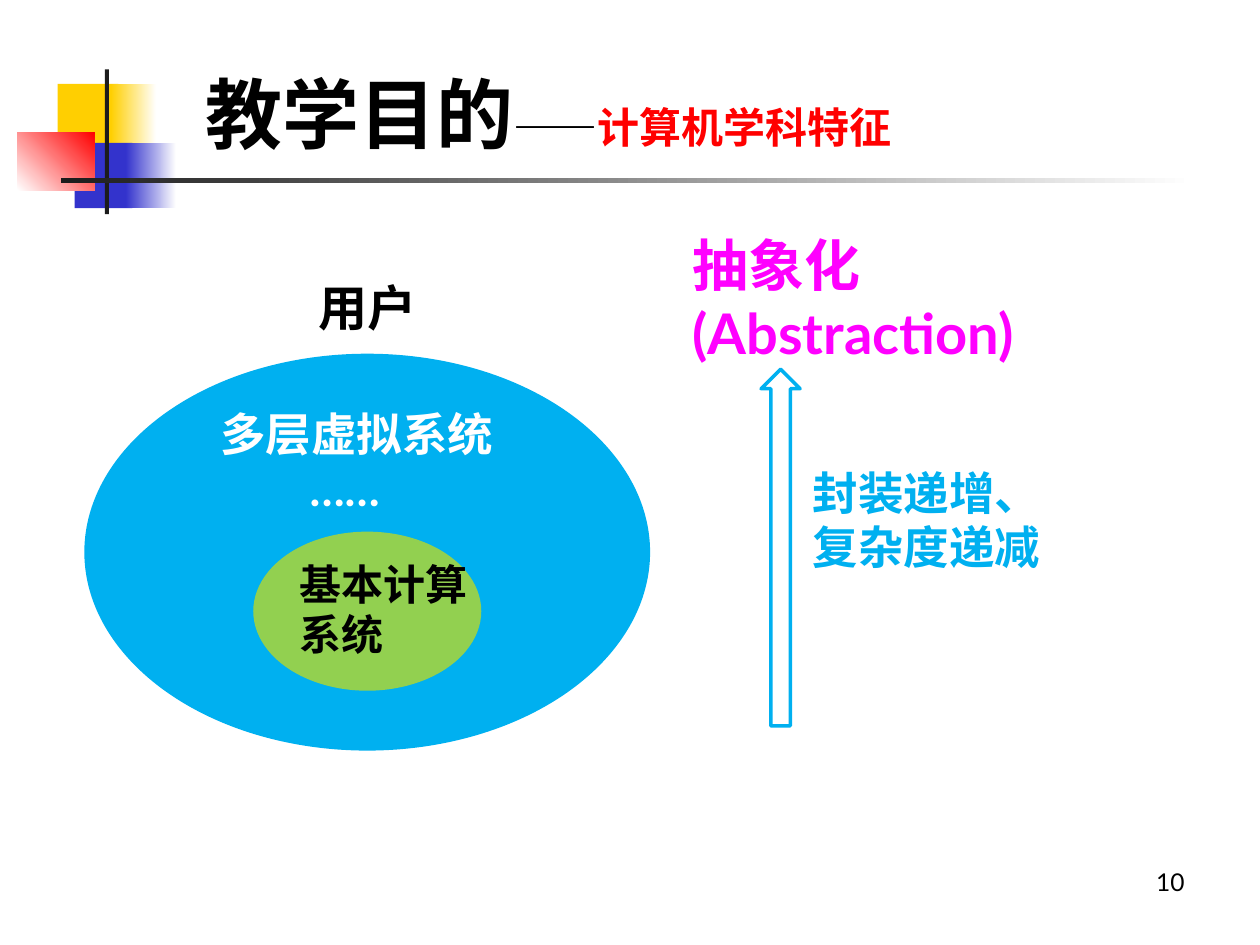
from pptx import Presentation
from pptx.dml.color import RGBColor
from pptx.enum.shapes import MSO_SHAPE
from pptx.enum.text import MSO_ANCHOR, MSO_AUTO_SIZE, PP_ALIGN
from pptx.util import Pt

BLACK, WHITE, RED = "000000", "FFFFFF", "FF0000"
YELLOW, NAVY, CHARCOAL = "FFCF01", "3333CC", "1C1C1C"
SKY, GREEN, MAGENTA = "00B0F0", "92D050", "FF00FF"


def color(hex_code):
    return RGBColor.from_string(hex_code)


def set_all(target, values):
    for attribute, value in values.items():
        setattr(target, attribute, value)


class SlideBuilder:
    FONT = "Lato"
    FRAME = dict(margin_left=Pt(7.2), margin_right=Pt(7.2),
                 margin_top=Pt(3.6), margin_bottom=Pt(3.6), word_wrap=True)

    def __init__(self, slide):
        self.slide = slide

    def shape(self, kind, box, fill, line=None):
        part = self.slide.shapes.add_shape(kind, *map(Pt, box))
        part.shadow.inherit = False
        part.fill.solid()
        part.fill.fore_color.rgb = color(fill)
        if line:
            part.line.color.rgb = color(line)
            part.line.width = Pt(2)
        else:
            part.line.fill.background()

    def fade(self, box, start, end, angle=0):
        """Draw a rectangle whose fill runs from start to end."""
        self.shape(MSO_SHAPE.RECTANGLE, box, start)
        fill = self.slide.shapes[-1].fill
        fill.gradient()
        fill.gradient_angle = angle
        for stop, position, shade in zip(fill.gradient_stops, (0, 1), (start, end)):
            stop.position = position
            stop.color.rgb = color(shade)

    def run(self, paragraph, words, size, shade, bold=True, font=FONT):
        run = paragraph.add_run()
        run.text = words
        set_all(run.font, dict(size=Pt(size), bold=bold, name=font))
        run.font.color.rgb = color(shade)

    def title(self, box, runs):
        heading = self.slide.shapes.title
        set_all(heading, dict(zip(("left", "top", "width", "height"), map(Pt, box))))
        set_all(heading.text_frame, dict(
            self.FRAME, auto_size=MSO_AUTO_SIZE.NONE,
            vertical_anchor=MSO_ANCHOR.BOTTOM))
        paragraph = heading.text_frame.paragraphs[0]
        paragraph.alignment = PP_ALIGN.LEFT
        for words, size, shade, font in runs:
            self.run(paragraph, words, size, shade, font=font)

    def text(self, box, lines, size, shade, bold=True, align=PP_ALIGN.LEFT):
        frame = self.slide.shapes.add_textbox(*map(Pt, box)).text_frame
        set_all(frame, self.FRAME)
        for index, words in enumerate(lines):
            paragraph = frame.add_paragraph() if index else frame.paragraphs[0]
            paragraph.alignment = align
            self.run(paragraph, words, size, shade, bold)
        return frame


def main():
    deck = Presentation()
    set_all(deck, dict(slide_width=Pt(720), slide_height=Pt(540)))
    page = SlideBuilder(deck.slides.add_slide(deck.slide_layouts[5]))

    # Corner ornament and rule under the title
    page.shape(MSO_SHAPE.RECTANGLE, (33, 48, 34.6, 37.4), YELLOW)
    page.fade((63.4, 48, 25.9, 37.4), YELLOW, WHITE)
    page.shape(MSO_SHAPE.RECTANGLE, (42.6, 81.6, 33.1, 37.4), NAVY)
    page.fade((72, 81.6, 28.8, 37.4), NAVY, WHITE)
    page.fade((10, 75.6, 44, 33.1), WHITE, RED, angle=45)
    page.shape(MSO_SHAPE.RECTANGLE, (60, 39.6, 2.2, 82.8), CHARCOAL)
    page.fade((34.6, 102, 648, 2.9), CHARCOAL, WHITE)

    page.title((110.2, 35.3, 609.8, 59), [
        ("教学目的", 44, BLACK, "Lato"),
        ("——", 24, BLACK, "Arial"),
        ("计算机", 24, RED, "Arial"),
        ("学科特征", 24, RED, "Lato"),
    ])

    # Nested systems
    page.shape(MSO_SHAPE.OVAL, (48.2, 202.1, 323.3, 226.8), SKY)
    page.shape(MSO_SHAPE.OVAL, (144.7, 303.8, 130.3, 90.9), GREEN)
    page.text((164.2, 315.4, 128.2, 64.8), ["基本计算系统"], 24, BLACK)
    layers = page.text((118.8, 228.5, 181.4, 69.8), ["多层虚拟系统", "……"], 26, WHITE)
    layers.paragraphs[1]._p.get_or_add_pPr().set("marL", str(Pt(51)))
    page.text((175, 154.8, 80, 41), ["用户"], 28, BLACK)

    # Rising abstraction
    page.shape(MSO_SHAPE.UP_ARROW, (434.9, 211, 22.3, 203.8), WHITE, line=SKY)
    page.text((388.5, 128.4, 249.8, 84.2), ["抽象化", "(Abstraction)"], 32, MAGENTA)
    page.text((457.4, 262.1, 191.5, 69.8), ["封装递增、", "复杂度递减"], 26, SKY)

    page.text((516.2, 491.8, 167.8, 37.4), ["10"], 14, BLACK, bold=False,
              align=PP_ALIGN.RIGHT)
    deck.save("out.pptx")


if __name__ == "__main__":
    main()
